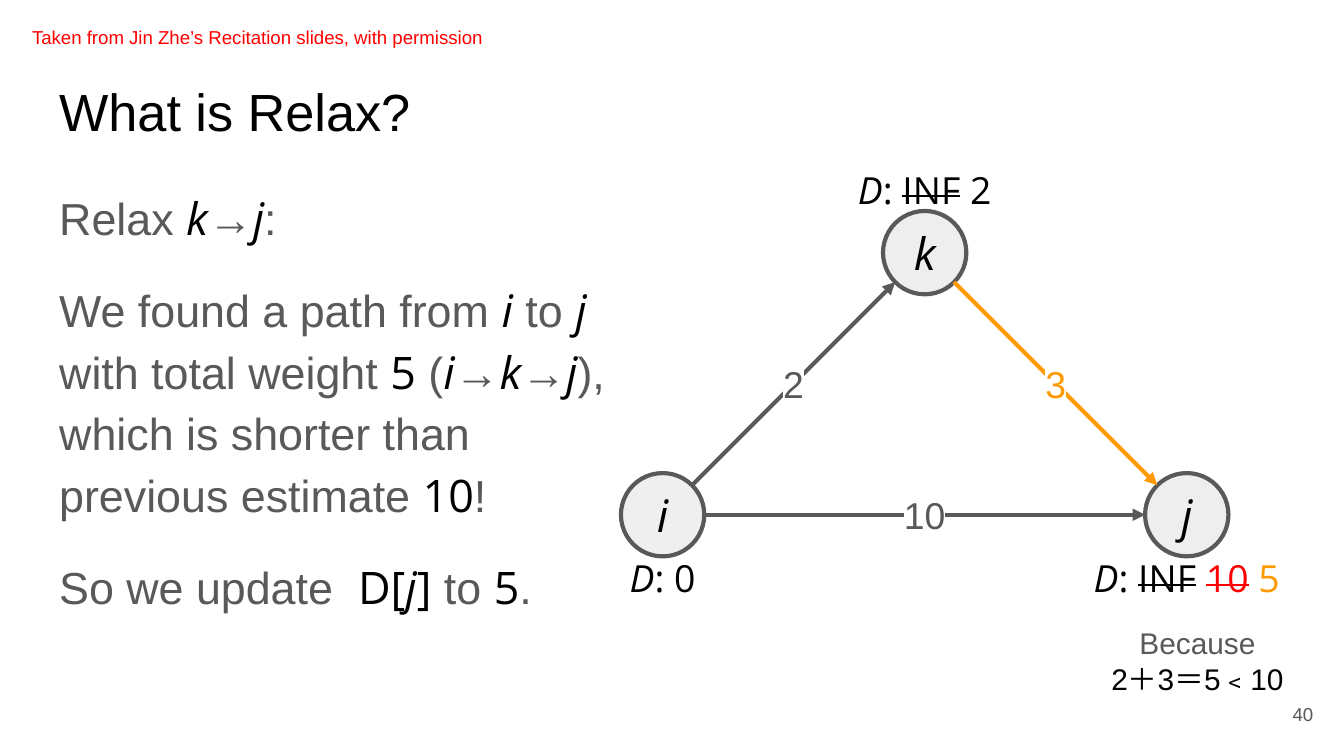
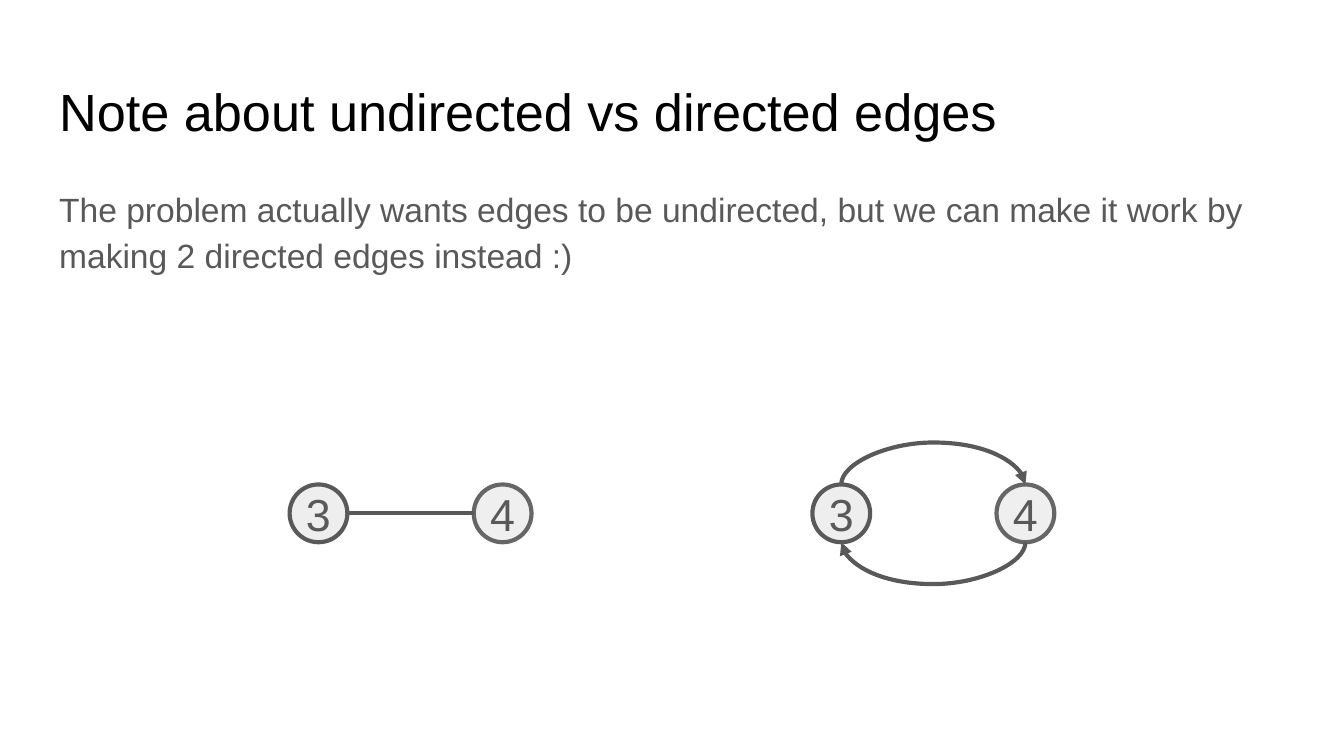
from math import cos, radians, sin

from lxml.etree import SubElement
from pptx import Presentation
from pptx.dml.color import RGBColor
from pptx.enum.shapes import MSO_CONNECTOR, MSO_SHAPE
from pptx.enum.text import MSO_ANCHOR, MSO_AUTO_SIZE, PP_ALIGN
from pptx.oxml.ns import qn
from pptx.util import Emu, Inches, Pt

COLORS = {"ink": "000000", "gray": "595959", "mid": "666666", "light": "EEEEEE",
          "pale": "EFEFEF", "red": "FF0000", "orange": "FF9900", "white": "FFFFFF"}
SANS, MATH = "Arial", "Open Sans"
# style: font, colour, italic, struck through, highlighted
STYLES = {
    "plain": (SANS, "gray", False, False, False),
    "black": (SANS, "ink", False, False, False),
    "alert": (SANS, "red", False, False, False),
    "number": (MATH, "ink", False, False, False),
    "variable": (MATH, "ink", True, False, False),
    "old": (MATH, "ink", False, True, False),
    "replaced": (MATH, "red", False, True, False),
    "new": (MATH, "orange", False, False, False),
    "weight": (SANS, "gray", False, False, True),
    "active weight": (SANS, "orange", False, False, True),
}

SLIDE_WIDTH = Inches(10)
SLIDE_HEIGHT = SLIDE_WIDTH * 9 // 16
MARGIN, CONTENT_WIDTH = 0.34, 9.32
RELAX_TITLE = "What is Relax?"
RELAX_BODY = [
    [("Relax ", "plain"), ("k", "variable"), ("→", "plain"), ("j", "variable"), (":", "plain")],
    [("We found a path from ", "plain"), ("i", "variable"), (" to ", "plain"),
     ("j", "variable"), (" with total weight ", "plain"), ("5", "number"), (" (", "plain"),
     ("i", "variable"), ("→", "plain"), ("k", "variable"), ("→", "plain"), ("j", "variable"),
     ("), which is shorter than previous estimate ", "plain"), ("10", "number"), ("!", "plain")],
    [("So we update  ", "plain"), ("D[", "number"), ("j", "variable"), ("]", "number"),
     (" to ", "plain"), ("5", "number"), (".", "plain")],
]
CREDIT = [[("Taken from Jin Zhe’s Recitation slides, with permission", "alert")]]
REASON = [[("Because", "plain")], [("2＋3＝5﹤10", "black")]]
PAGE_NUMBER = [[("40", "plain")]]

# triangle: column and row in steps from the middle of the base
STEP, BASE_X, BASE_Y = 1.95, 6.88, 3.83
VERTICES = {"i": (-1, 0, "pale"), "j": (1, 0, "light"), "k": (0, -1, "light")}
# start, start site, end, end site, colour, weight, weight style
EDGES = [("i", 6, "j", 2, "gray", "10", "weight"),
         ("i", 7, "k", 3, "gray", "2", "weight"),
         ("k", 5, "j", 1, "orange", "3", "active weight")]
# vertex, side (1 below, -1 above), label width, values after "D"
DISTANCES = [
    ("i", 1, 1.52, [(": 0", "number")]),
    ("k", -1, 1.52, [(": ", "number"), ("INF", "old"), (" 2", "number")]),
    ("j", 1, 1.66, [(": ", "number"), ("INF", "old"), (" ", "number"), ("10", "replaced"),
                    (" ", "number"), ("5", "new")]),
]

EDGES_TITLE = "Note about undirected vs directed edges"
EDGES_BODY = [[("The problem actually wants edges to be undirected, but we can make it work "
                "by making 2 directed edges instead :)", "plain")]]
PAIR = [("3", "light", "gray"), ("4", "pale", "mid")]
PAIR_STARTS, PAIR_GAP, PAIR_Y = (2.37, 6.26), 1.37, 3.82


def color(name):
    return RGBColor.from_string(COLORS[name])


def write(shape, paragraphs, size, inset=0.1, anchor=MSO_ANCHOR.TOP, align=PP_ALIGN.LEFT,
          line_spacing=None, gap=0, after=0):
    frame = shape.text_frame
    settings = {"word_wrap": True, "auto_size": MSO_AUTO_SIZE.NONE, "vertical_anchor": anchor}
    settings.update({f"margin_{side}": Inches(inset) for side in ("left", "top", "right", "bottom")})
    for name, value in settings.items():
        setattr(frame, name, value)
    for index, spans in enumerate(paragraphs):
        para = frame.paragraphs[0] if index == 0 else frame.add_paragraph()
        last = index == len(paragraphs) - 1
        formats = {"alignment": align, "line_spacing": line_spacing,
                   "space_before": Pt(gap if index else 0), "space_after": Pt(after if last else 0)}
        for name, value in formats.items():
            setattr(para, name, value)
        if shape.is_placeholder:
            properties = para._p.get_or_add_pPr()
            properties.set("marL", "0")
            properties.set("indent", "0")
            SubElement(properties, qn("a:buNone"))
        for text, style in spans:
            add_span(para, text, style, size)


def add_span(para, text, style, size):
    font_name, tint, italic, struck, highlighted = STYLES[style]
    span = para.add_run()
    span.text = text
    for name, value in {"size": Pt(size), "name": font_name, "italic": italic}.items():
        setattr(span.font, name, value)
    span.font.color.rgb = color(tint)
    properties = span._r.get_or_add_rPr()
    if struck:
        properties.set("strike", "sngStrike")
    if highlighted:
        highlight = SubElement(properties, qn("a:highlight"))
        SubElement(highlight, qn("a:srgbClr"), val=COLORS["white"])
        properties.find(qn("a:latin")).addprevious(highlight)


def place(shape, *box):
    for name, value in zip(("left", "top", "width", "height"), box):
        setattr(shape, name, Inches(value))


def add_page(deck, title, body, size, width, height, **formats):
    page = deck.slides.add_slide(deck.slide_layouts[1])
    heading, content = page.placeholders
    place(heading, MARGIN, 0.49, CONTENT_WIDTH, 0.63)
    write(heading, [[(title, "black")]], 28)
    place(content, MARGIN, 1.26, width, height)
    write(content, body, size, line_spacing=1.15, after=16, **formats)
    return page


def add_text(page, box, paragraphs, size, **formats):
    shape = page.shapes.add_textbox(*map(Inches, box))
    write(shape, paragraphs, size, **formats)


def add_label(page, x, y, width, height, spans):
    """Centre a one-line label on the point x, y."""
    add_text(page, (x - width / 2, y - height / 2, width, height), [spans], 20,
             anchor=MSO_ANCHOR.MIDDLE, align=PP_ALIGN.CENTER)


def add_node(page, x, y, diameter, text, style, fill, line="gray"):
    box = (x - diameter / 2, y - diameter / 2, diameter, diameter)
    node = page.shapes.add_shape(MSO_SHAPE.OVAL, *map(Inches, box))
    node.shadow.inherit = False
    node.fill.solid()
    node.fill.fore_color.rgb = color(fill)
    node.line.color.rgb = color(line)
    node.line.width = Pt(2.25)
    write(node, [[(text, style)]], 24, inset=0, anchor=MSO_ANCHOR.MIDDLE, align=PP_ALIGN.CENTER)
    return node


def site_point(node, site):
    """Ellipses have eight sites, counted anticlockwise from the top."""
    angle, radius = radians(90 + 45 * site), node.width / 2
    return (Emu(round(node.left + radius + radius * cos(angle))),
            Emu(round(node.top + radius - radius * sin(angle))))


def add_edge(page, start, start_site, end, end_site, tint="gray", arrow=True,
             kind=MSO_CONNECTOR.STRAIGHT):
    points = site_point(start, start_site) + site_point(end, end_site)
    edge = page.shapes.add_connector(kind, *points)
    edge.begin_connect(start, 0)
    edge.end_connect(end, 0)
    links = edge._element.nvCxnSpPr.cNvCxnSpPr
    links.stCxn.set("idx", str(start_site))
    links.endCxn.set("idx", str(end_site))
    for name, value in zip(("begin_x", "begin_y", "end_x", "end_y"), points):
        setattr(edge, name, value)
    edge.line.color.rgb = color(tint)
    edge.line.width = Pt(2.25)
    if arrow:
        SubElement(edge.line._get_or_add_ln(), qn("a:tailEnd"), type="triangle")
    SubElement(edge._element.spPr, qn("a:effectLst"))
    return edge


def add_arc(page, start, end, site, bulge=0.26):
    """Join two nodes on one level by a curve over (site 0) or under (site 4) them."""
    edge = add_edge(page, start, site, end, site, kind=MSO_CONNECTOR.CURVE)
    (start_x, y), (end_x, _) = site_point(start, site), site_point(end, site)
    depth, span = Emu(600), abs(end_x - start_x)
    over = site == 0
    frame = edge._element.spPr.find(qn("a:xfrm"))
    for name in ("flipH", "flipV"):
        frame.attrib.pop(name, None)
    if over:
        frame.set("flipH", "1")
    frame.set("rot", str((270 if over else 90) * 60000))
    edge.left, edge.top = (start_x + end_x - depth) // 2, y - span // 2
    edge.width, edge.height = depth, span
    bend = round(Inches(bulge) / depth * 100000) * (-1 if over else 1)
    geometry = edge._element.spPr.find(qn("a:prstGeom"))
    guides = geometry.find(qn("a:avLst"))
    if guides is None:
        guides = SubElement(geometry, qn("a:avLst"))
    SubElement(guides, qn("a:gd"), name="adj1", fmla=f"val {bend}")


def build_relax(deck):
    page = add_page(deck, RELAX_TITLE, RELAX_BODY, 24, 4.27, 3.74, gap=16)
    add_text(page, (9.27, 5.1, 0.6, 0.43), PAGE_NUMBER, 10,
             anchor=MSO_ANCHOR.MIDDLE, align=PP_ALIGN.RIGHT)
    centers = {name: (BASE_X + column * STEP, BASE_Y + row * STEP)
               for name, (column, row, _) in VERTICES.items()}
    nodes = {name: add_node(page, *centers[name], 0.62, name, "variable", fill)
             for name, (_, _, fill) in VERTICES.items()}
    for start, start_site, end, end_site, tint, _, _ in EDGES:
        add_edge(page, nodes[start], start_site, nodes[end], end_site, tint)
    for start, _, end, _, _, weight, style in EDGES:
        x, y = ((a + b) / 2 for a, b in zip(centers[start], centers[end]))
        add_label(page, x, y, 0.62, 0.63, [(weight, style)])
    for name, side, width, values in DISTANCES:
        x, y = centers[name]
        add_label(page, x, y + side * 0.47, width, 0.31, [("D", "variable")] + values)
    add_text(page, (8.16, 4.55, 1.5, 0.72), REASON, 16, align=PP_ALIGN.CENTER)
    add_text(page, (0.14, 0.09, 4.27, 0.45), CREDIT, 10)


def build_edges(deck):
    page = add_page(deck, EDGES_TITLE, EDGES_BODY, 18, CONTENT_WIDTH, 0.93)
    undirected, directed = (
        [add_node(page, x + index * PAIR_GAP, PAIR_Y, 0.43, text, "plain", fill, line)
         for index, (text, fill, line) in enumerate(PAIR)]
        for x in PAIR_STARTS)
    add_edge(page, undirected[0], 6, undirected[1], 2, arrow=False)
    add_arc(page, directed[0], directed[1], 0)
    add_arc(page, directed[1], directed[0], 4)


def main():
    deck = Presentation()
    deck.slide_width, deck.slide_height = SLIDE_WIDTH, SLIDE_HEIGHT
    build_relax(deck)
    build_edges(deck)
    deck.save("out.pptx")


if __name__ == "__main__":
    main()
